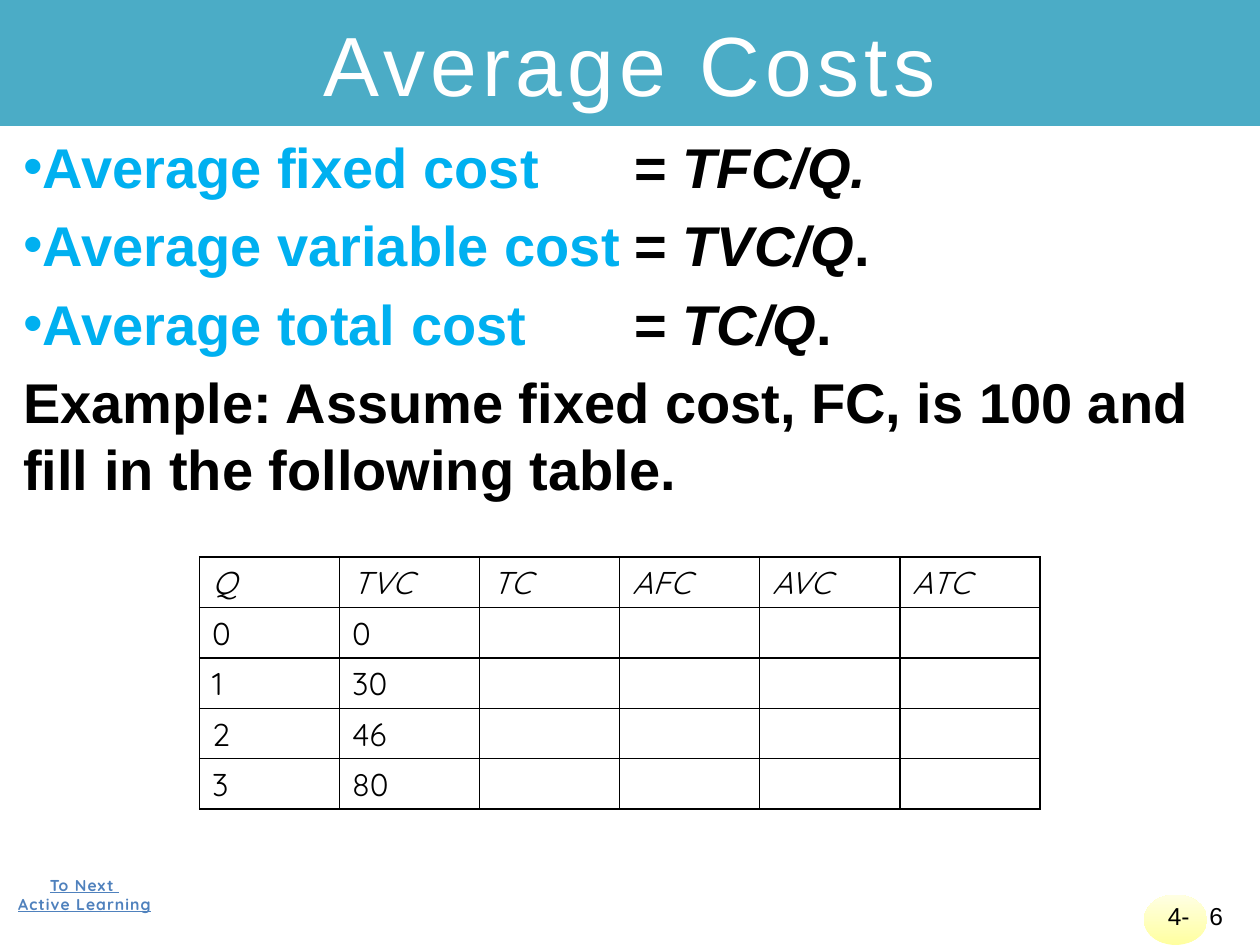
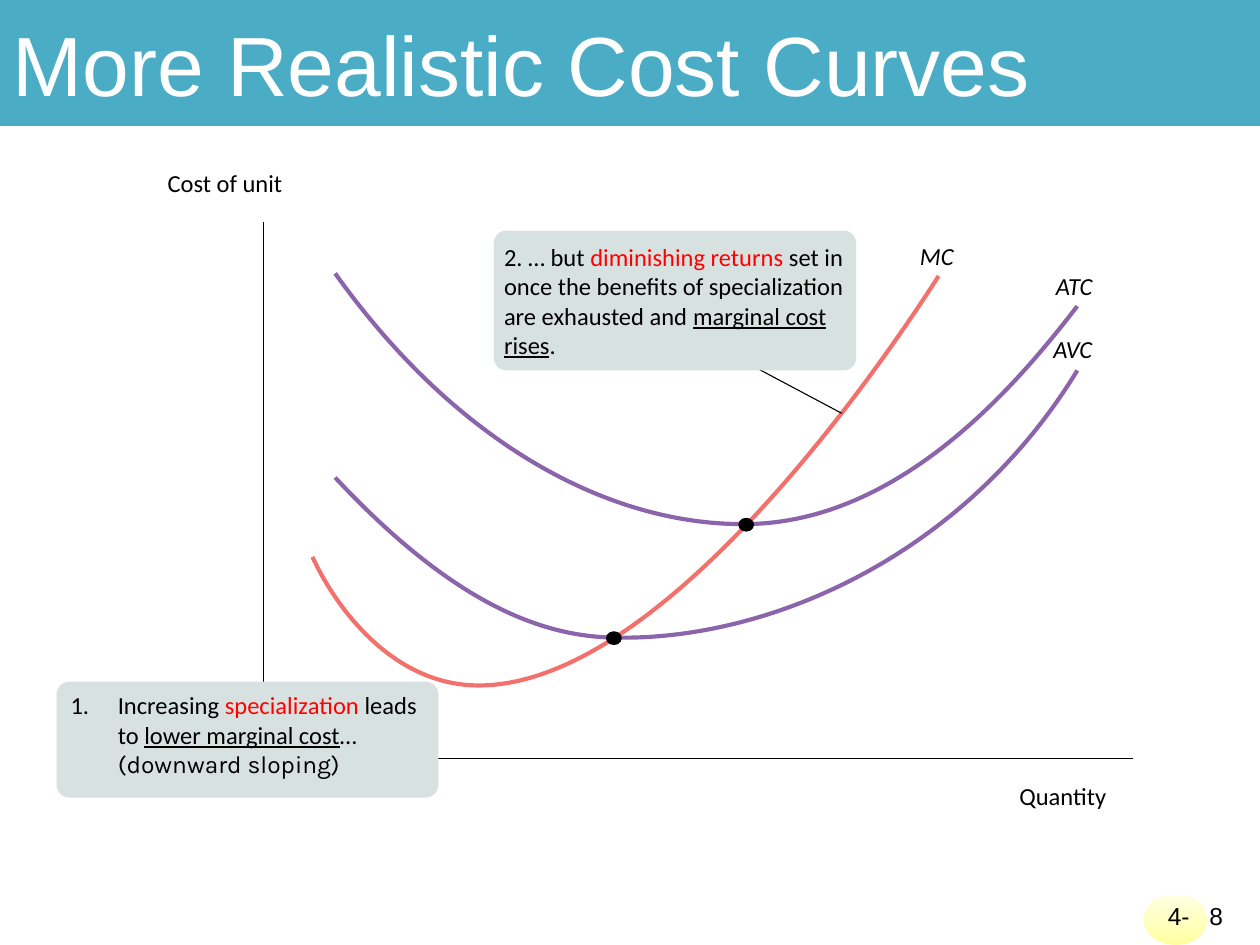
from dataclasses import dataclass

from lxml import etree
from pptx import Presentation
from pptx.dml.color import RGBColor
from pptx.enum.shapes import MSO_CONNECTOR, MSO_SHAPE
from pptx.enum.text import MSO_ANCHOR, MSO_AUTO_SIZE, PP_ALIGN
from pptx.oxml.ns import qn
from pptx.util import Emu, Inches, Pt

ELLIPSE, RECTANGLE = MSO_SHAPE.OVAL, MSO_SHAPE.ROUNDED_RECTANGLE
STRAIGHT = MSO_CONNECTOR.STRAIGHT
TOP, MIDDLE = MSO_ANCHOR.TOP, MSO_ANCHOR.MIDDLE
LEFT, CENTER = PP_ALIGN.LEFT, PP_ALIGN.CENTER
NO_FIT = MSO_AUTO_SIZE.NONE

WIDTH, HEIGHT = Inches(10), Inches(7.5)
COLUMNS, ROWS = 100, 75

BLACK, WHITE, RED = "000000", "FFFFFF", "FF0000"
BAND, TERM, LINK = "4BACC6", "00B0F0", "4F81BD"
CALLOUT, MARGINAL, AVERAGE = "D7E2E0", "F3716D", "8C64AB"
BADGE_GRADIENT = "FFFFA0", "FFFFE3"

TITLE_FONT, GRAPH_FONT, TABLE_FONT, NOTE_FONT = "Arial", "Calibri", "Quicksand", "Karla"


@dataclass
class Box:
    col: float
    row: float
    cols: float
    rows: float

    def within(self, col, row, cols, rows):
        return Box(self.col + col, self.row + row, cols, rows)

    def point(self, col, row):
        return across(self.col + col), down(self.row + row)

    def frame(self):
        return (*self.point(0, 0), across(self.cols), down(self.rows))


def across(cols):
    return Emu(round(WIDTH * cols / COLUMNS))


def down(rows):
    return Emu(round(HEIGHT * rows / ROWS))


PAGE = Box(0, 0, COLUMNS, ROWS)
TITLE_BOX = PAGE.within(0, 0, COLUMNS, 10)
FOOTER_BOX = PAGE.within(90.8, 71, 9.2, 4)


def color(hex_string):
    return RGBColor.from_string(hex_string)


def paint(shape, fill=None, line=None, weight=0.63):
    shape.shadow.inherit = False
    if fill:
        shape.fill.solid()
        shape.fill.fore_color.rgb = color(fill)
    else:
        shape.fill.background()
    if line:
        shape.line.color.rgb = color(line)
        shape.line.width = Pt(weight)
    else:
        shape.line.fill.background()


def add_runs(paragraph, runs, size, font, spacing=None, **base):
    for wording, changes in runs:
        style = {"font": font, "color": BLACK, **base, **changes}
        run = paragraph.add_run()
        run.text = wording
        run.font.size = Pt(size)
        run.font.name = style["font"]
        run.font.color.rgb = color(style["color"])
        run.font.bold = style.get("bold", False)
        run.font.italic = style.get("italic", False)
        run.font.underline = style.get("underline", False)
        if spacing:
            run.font._element.set("spc", str(round(spacing * 100)))


def set_bullet(paragraph, tag, indent=0, tab=None, **attributes):
    properties = paragraph._p.get_or_add_pPr()
    properties.set("marL", str(across(indent)))
    properties.set("indent", str(-across(indent)))
    etree.SubElement(properties, qn(tag), attributes)
    if tab:
        stops = etree.SubElement(properties, qn("a:tabLst"))
        etree.SubElement(stops, qn("a:tab"), pos=str(across(tab)), algn="l")


def add_label(slide, box, runs, size, font, wrap=True, inset=True, **style):
    frame = slide.shapes.add_textbox(*box.frame()).text_frame
    frame.word_wrap = wrap
    if not inset:
        frame.margin_left = frame.margin_right = 0
        frame.margin_top = frame.margin_bottom = 0
    add_runs(frame.paragraphs[0], runs, size, font, **style)
    return frame


def place(holder, box, anchor):
    holder.left, holder.top, holder.width, holder.height = box.frame()
    frame = holder.text_frame
    frame.word_wrap = True
    frame.auto_size = NO_FIT
    frame.vertical_anchor = anchor
    return frame


def title_band(slide, box, wording, alignment, spacing=None):
    title = slide.shapes.title
    title.fill.solid()
    title.fill.fore_color.rgb = color(BAND)
    heading = place(title, box, MIDDLE).paragraphs[0]
    heading.alignment = alignment
    add_runs(heading, [(wording, {})], 48, TITLE_FONT, spacing, color=WHITE)


def page_badge(slide, box, number):
    badge = slide.shapes.add_shape(ELLIPSE, *box.within(0, 0, 5, 4).frame())
    paint(badge)
    badge.fill.gradient()
    badge.fill.gradient_angle = 90
    for stop, shade in zip(badge.fill.gradient_stops, BADGE_GRADIENT):
        stop.color.rgb = color(shade)
    add_label(slide, box.within(0.9, 0, 4.2, 4), [("4-", {})], 14, TITLE_FONT)
    add_label(slide, box.within(4.2, 0, 5, 4), [(number, {})], 14, TITLE_FONT)


def new_slide(deck, layout, wording, number, alignment, spacing=None):
    slide = deck.slides.add_slide(deck.slide_layouts[layout])
    page_badge(slide, FOOTER_BOX, number)
    title_band(slide, TITLE_BOX, wording, alignment, spacing)
    return slide


def definitions(slide, box):
    formulas = [
        ("Average fixed cost", [("TFC/Q.", {"italic": True})]),
        ("Average variable cost", [("TVC/Q", {"italic": True}), (".", {})]),
        ("Average total cost", [("TC/Q", {"italic": True}), (".", {})]),
    ]
    example = "Example: Assume fixed cost, FC, is 100 and fill in the following table."
    frame = place(slide.placeholders[1], box, TOP)
    paragraph = frame.paragraphs[0]
    paragraph.space_before = Pt(0)
    for term, formula in formulas:
        set_bullet(paragraph, "a:buChar", tab=48.5, char="•")
        runs = [(term, {"color": TERM}), ("\t= ", {}), *formula]
        add_runs(paragraph, runs, 32, TITLE_FONT, bold=True)
        paragraph = frame.add_paragraph()
        paragraph.space_before = Pt(6.4)
    set_bullet(paragraph, "a:buNone")
    add_runs(paragraph, [(example, {})], 32, TITLE_FONT, bold=True)


def outline_cell(cell):
    properties = cell._tc.get_or_add_tcPr()
    for side in ("a:lnL", "a:lnR", "a:lnT", "a:lnB"):
        border = etree.SubElement(properties, qn(side), w=str(Pt(1)))
        solid = etree.SubElement(border, qn("a:solidFill"))
        etree.SubElement(solid, qn("a:srgbClr"), val=BLACK)
    cell.fill.background()


def cost_table(slide, box):
    headers = ["Q", "TVC", "TC", "AFC", "AVC", "ATC"]
    costs = [("0", "0"), ("1", "30"), ("2", "46"), ("3", "80")]
    lines = [headers, *costs]
    table = slide.shapes.add_table(len(lines), len(headers), *box.frame()).table
    table.first_row = table.horz_banding = False
    for row, line in enumerate(lines):
        for column in range(len(headers)):
            cell = table.cell(row, column)
            outline_cell(cell)
            if column < len(line):
                add_runs(cell.text_frame.paragraphs[0], [(line[column], {})],
                         18, TABLE_FONT, italic=row == 0)


def next_link(slide, box):
    style = {"color": LINK, "bold": True, "underline": True, "spacing": 0.6}
    frame = add_label(slide, box, [("To Next ", {})], 9, TABLE_FONT, wrap=False, **style)
    add_runs(frame.add_paragraph(), [("Active Learning", {})], 9, TABLE_FONT, **style)
    for paragraph in frame.paragraphs:
        paragraph.alignment = CENTER


def polyline(slide, box, points, line, weight):
    start, *rest = [box.point(*point) for point in points]
    builder = slide.shapes.build_freeform(*start, scale=1.0)
    builder.add_line_segments(rest, close=False)
    shape = builder.convert_to_shape()
    paint(shape, line=line, weight=weight)
    return shape


def curve(slide, box, controls, line):
    shape = polyline(slide, box, controls, line, 2.38)
    segments = list(shape._element.iter(qn("a:lnTo")))
    for first in range(0, len(segments), 3):
        bend = etree.Element(qn("a:cubicBezTo"))
        segments[first].addprevious(bend)
        for segment in segments[first:first + 3]:
            bend.append(segment[0])
            segment.getparent().remove(segment)


def cost_curves(slide, box):
    mc = [(3.9, 26.6), (5.7, 30.5), (10.2, 36.8), (17.1, 36.8),
          (32, 36.8), (49.7, 10.4), (53.6, 4.3)]
    atc = [(5.7, 4.1), (15.4, 17.7), (27.5, 24.1), (38.3, 24),
           (50.8, 23.9), (60.2, 12.4), (64.6, 6.7)]
    avc = [(5.7, 20.3), (14.5, 29.7), (21.5, 32.9), (27.8, 33),
           (39.9, 33.3), (55.5, 26.7), (64.6, 11.8)]
    curve_names = [("MC", 52.1, 1.5, 3.1), ("ATC", 62.9, 3.9, 3.8),
                   ("AVC", 62.7, 8.9, 3.9)]

    polyline(slide, box, [(box.cols, box.rows), (0, box.rows), (0, 0)], BLACK, 0.63)
    for name, col, row, cols in curve_names:
        add_label(slide, box.within(col, row, cols, 2.4), [(name, {})], 14,
                  GRAPH_FONT, wrap=False, inset=False, italic=True)
    for controls, shade in ((mc, MARGINAL), (atc, AVERAGE), (avc, AVERAGE)):
        curve(slide, box, controls, shade)
    for col, row in (avc[3], atc[3]):
        minimum = box.within(col - 0.6, row - 0.5, 1.25, 1.1)
        paint(slide.shapes.add_shape(ELLIPSE, *minimum.frame()), BLACK)


def axis_names(slide, box):
    for name, col, row, cols in (("Cost of unit", -7.6, -4.3, 17.4),
                                 ("Quantity", 60, 44.4, 7.1)):
        add_label(slide, box.within(col, row, cols, 1.9), [(name, {})], 14,
                  GRAPH_FONT, wrap=cols > 10, inset=False)


def callout(slide, box):
    bubble = slide.shapes.add_shape(RECTANGLE, *box.frame())
    bubble.adjustments[0] = 1 / box.rows
    paint(bubble, CALLOUT)


def explanations(slide, box):
    red, underlined = {"color": RED}, {"underline": True}
    diminishing = [
        ("2. … but ", {}), ("diminishing returns ", red),
        ("set in once the benefits of specialization are exhausted and ", {}),
        ("marginal cost rises", underlined), (".", {})]
    increasing = [
        ("Increasing ", {}), ("specialization", red), (" leads to ", {}),
        ("lower marginal cost", underlined), ("…", {}),
        ("(downward sloping)", {"font": NOTE_FONT})]

    pointer = slide.shapes.add_connector(
        STRAIGHT, *box.point(45.9, 15.2), *box.point(36.3, 10.1))
    pointer.line.color.rgb = color(BLACK)
    pointer.line.width = Pt(0.63)
    etree.SubElement(pointer._element.spPr, qn("a:effectLst"))
    callout(slide, box.within(18.3, 0.7, 28.75, 11.1))
    callout(slide, box.within(-16.4, 36.5, 30.3, 9.2))
    axis_names(slide, box)
    add_label(slide, box.within(19.1, 1.6, 28.2, 9.4), diminishing, 14,
              GRAPH_FONT, inset=False)
    steps = add_label(slide, box.within(-15.3, 37.2, 28.2, 7.1), increasing, 14,
                      GRAPH_FONT, inset=False)
    set_bullet(steps.paragraphs[0], "a:buAutoNum", 3.75, type="arabicPeriod")


def main():
    deck = Presentation()
    deck.slide_width, deck.slide_height = WIDTH, HEIGHT

    averages = new_slide(deck, 1, "Average Costs", "6", CENTER, spacing=3)
    definitions(averages, PAGE.within(0.85, 10, 97.5, 57.5))
    cost_table(averages, PAGE.within(15.84, 44.2, 66.7, 20))
    next_link(averages, PAGE.within(0.3, 69, 12.8, 4))

    curves = new_slide(deck, 5, "More Realistic Cost Curves", "8", LEFT)
    graph = PAGE.within(20.9, 17.6, 69, 42.6)
    cost_curves(curves, graph)
    explanations(curves, graph)

    deck.save("out.pptx")


if __name__ == "__main__":
    main()
